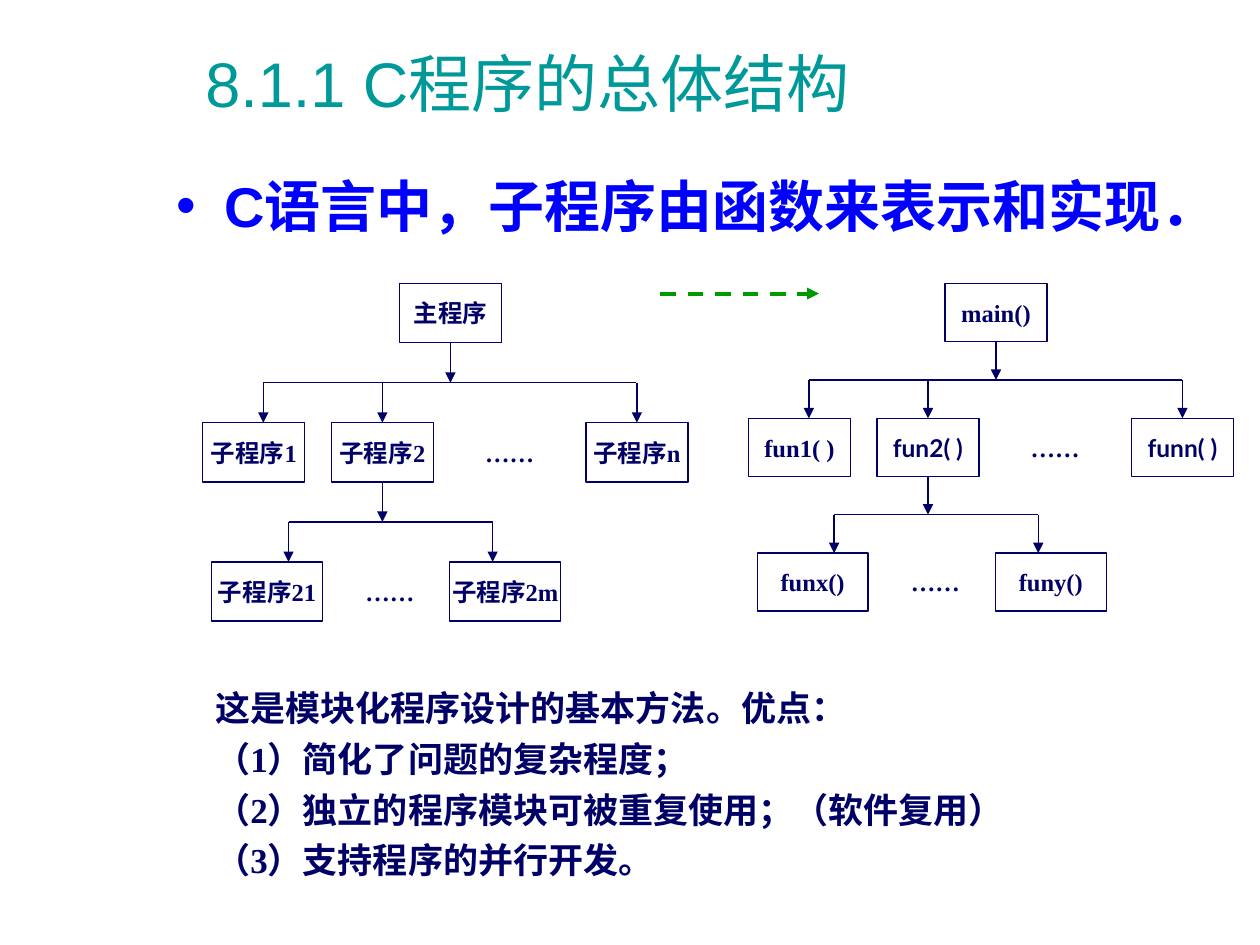
from pptx import Presentation
from pptx.dml.color import RGBColor
from pptx.enum.dml import MSO_LINE
from pptx.enum.shapes import MSO_CONNECTOR, MSO_SHAPE
from pptx.enum.text import MSO_ANCHOR, PP_ALIGN
from pptx.oxml.ns import qn
from pptx.util import Inches, Pt
from lxml.etree import SubElement

C = {"title": "009999", "bullet": "0000FF", "navy": "000066", "green": "009900"}
SERIF, LATO, CJK = "Times New Roman", "Lato", "Noto Sans CJK SC"


def style(r, size, color, font, bold=True):
    r.font.size, r.font.name, r.font.bold = Pt(size), font, bold
    r.font.color.rgb = RGBColor.from_string(C[color])


def add_line(shapes, x1, y1, x2, y2, color="navy", width=0.75, arrow=True):
    line = shapes.add_connector(MSO_CONNECTOR.STRAIGHT, Inches(x1), Inches(y1), Inches(x2), Inches(y2))
    line.line.color.rgb = RGBColor.from_string(C[color])
    line.line.width = Pt(width)
    if arrow:
        SubElement(line.line._get_or_add_ln(), qn("a:tailEnd"), type="triangle")
    SubElement(line._element.spPr, qn("a:effectLst"))
    return line


prs = Presentation()
prs.slide_width, prs.slide_height = Inches(10), Inches(7.5)
s = prs.slides.add_slide(prs.slide_layouts[5])

# Title
title = s.shapes.title
title.left, title.top, title.width, title.height = Inches(1.53), Inches(0.3), Inches(7.97), Inches(0.77)
tf = title.text_frame
tf.text = "8.1.1 C程序的总体结构"
tf.vertical_anchor = MSO_ANCHOR.TOP
p = tf.paragraphs[0]
p.alignment = PP_ALIGN.LEFT
style(p.runs[0], 36, "title", "Arial", bold=False)

# Bulleted statement
tf = s.shapes.add_textbox(Inches(1.3), Inches(1.31), Inches(8.7), Inches(0.71)).text_frame
tf.word_wrap = True
p = tf.paragraphs[0]
p.text = "C语言中，子程序由函数来表示和实现．"
pPr = p._p.get_or_add_pPr()
pPr.set("marL", str(Inches(0.38)))
pPr.set("indent", str(-Inches(0.38)))
SubElement(SubElement(pPr, qn("a:buClr")), qn("a:srgbClr"), val=C["bullet"])
SubElement(pPr, qn("a:buFont"), typeface="Arial")
SubElement(pPr, qn("a:buChar"), char="•")
style(p.runs[0], 32, "bullet", "Arial")

# Dashed arrow from the general structure to the C structure
arrow = add_line(s.shapes, 5.24, 2.33, 6.5, 2.33, "green", 2.25)
arrow.line.dash_style = MSO_LINE.DASH

# Call trees: node places are relative to the tree's left edge
TOP, BOX_W, LEAF_W = 2.25, 0.81, 0.88
NODES = [  # name, level, x, width
    ("root", 0, 1.56, BOX_W),
    ("sub1", 1, 0, BOX_W), ("sub2", 1, 1.02, BOX_W), ("gap1", 1, 2.03, BOX_W), ("subn", 1, 3.04, BOX_W),
    ("leaf1", 2, 0.07, LEAF_W), ("gap2", 2, 1.08, BOX_W), ("leafm", 2, 1.96, LEAF_W),
]
BRANCHES = [  # parent, level of the parent, [(child, x of its arrow)]
    ("root", 0, [("sub1", 0.48), ("sub2", 1.42), ("subn", 3.44)]),
    ("sub2", 1, [("leaf1", 0.68), ("leafm", 2.3)]),
]
CENTRED = {"sub2", "subn"}  # arrows that meet the middle of the box
TREES = [  # left, level pitch, box height, {node: [(text, font)]}
    (1.61, 1.105, 0.47, {
        "root": [("主程序", SERIF)],
        **{name: [("子", SERIF), ("程序", CJK), (number, SERIF)] for name, number in
           [("sub1", "1"), ("sub2", "2"), ("subn", "n"), ("leaf1", "21"), ("leafm", "2m")]},
    }),
    (5.94, 1.07, 0.46, {
        "root": [("main()", SERIF)], "sub1": [("fun1( )", SERIF)],
        "sub2": [("fun2( )", LATO)], "subn": [("funn( )", LATO)],
        "leaf1": [("funx()", SERIF)], "leafm": [("funy()", SERIF)],
    }),
]

for left, pitch, height, labels in TREES:
    shapes = s.shapes.add_group_shape().shapes
    boxes = {}
    for name, level, x, width in NODES:
        place = Inches(left + x), Inches(TOP + level * pitch), Inches(width), Inches(height)
        if name in labels:
            sp = shapes.add_shape(MSO_SHAPE.RECTANGLE, *place)
            sp.shadow.inherit = False
            sp.fill.background()
            sp.line.color.rgb = RGBColor.from_string(C["navy"])
            sp.line.width = Pt(0.75)
        else:
            sp = shapes.add_textbox(*place)
        boxes[name] = sp
        tf = sp.text_frame
        tf.word_wrap = False
        tf.vertical_anchor = MSO_ANCHOR.MIDDLE
        p = tf.paragraphs[0]
        p.alignment = PP_ALIGN.CENTER
        for text, font in labels.get(name, [("……", SERIF)]):
            r = p.add_run()
            r.text = text
            style(r, 14, "navy", font)

    # Stem, crossbar and arrows, with the crossbar halfway between levels
    for parent, level, children in BRANCHES:
        bottom = TOP + level * pitch + height
        child_top = TOP + (level + 1) * pitch
        bar = (bottom + child_top) / 2
        stem_x = (boxes[parent].left + boxes[parent].width / 2) / Inches(1)
        add_line(shapes, stem_x, bottom, stem_x, bar).begin_connect(boxes[parent], 2)
        add_line(shapes, left + children[0][1], bar, left + children[-1][1], bar, arrow=False)
        for child, x in children:
            if child in CENTRED:
                x = (boxes[child].left + boxes[child].width / 2) / Inches(1) - left
            drop = add_line(shapes, left + x, bar, left + x, child_top)
            if child in CENTRED:
                drop.end_connect(boxes[child], 0)

# Advantages
tf = s.shapes.add_textbox(Inches(1.61), Inches(5.4), Inches(7.81), Inches(1.73)).text_frame
tf.word_wrap = True
tf.text = "\n".join([
    "这是模块化程序设计的基本方法。优点：",
    "（1）简化了问题的复杂程度；",
    "（2）独立的程序模块可被重复使用；（软件复用）",
    "（3）支持程序的并行开发。",
])
for i, p in enumerate(tf.paragraphs):
    if i:
        p.space_before = Pt(5)
    style(p.runs[0], 20, "navy", SERIF)

prs.save("out.pptx")
